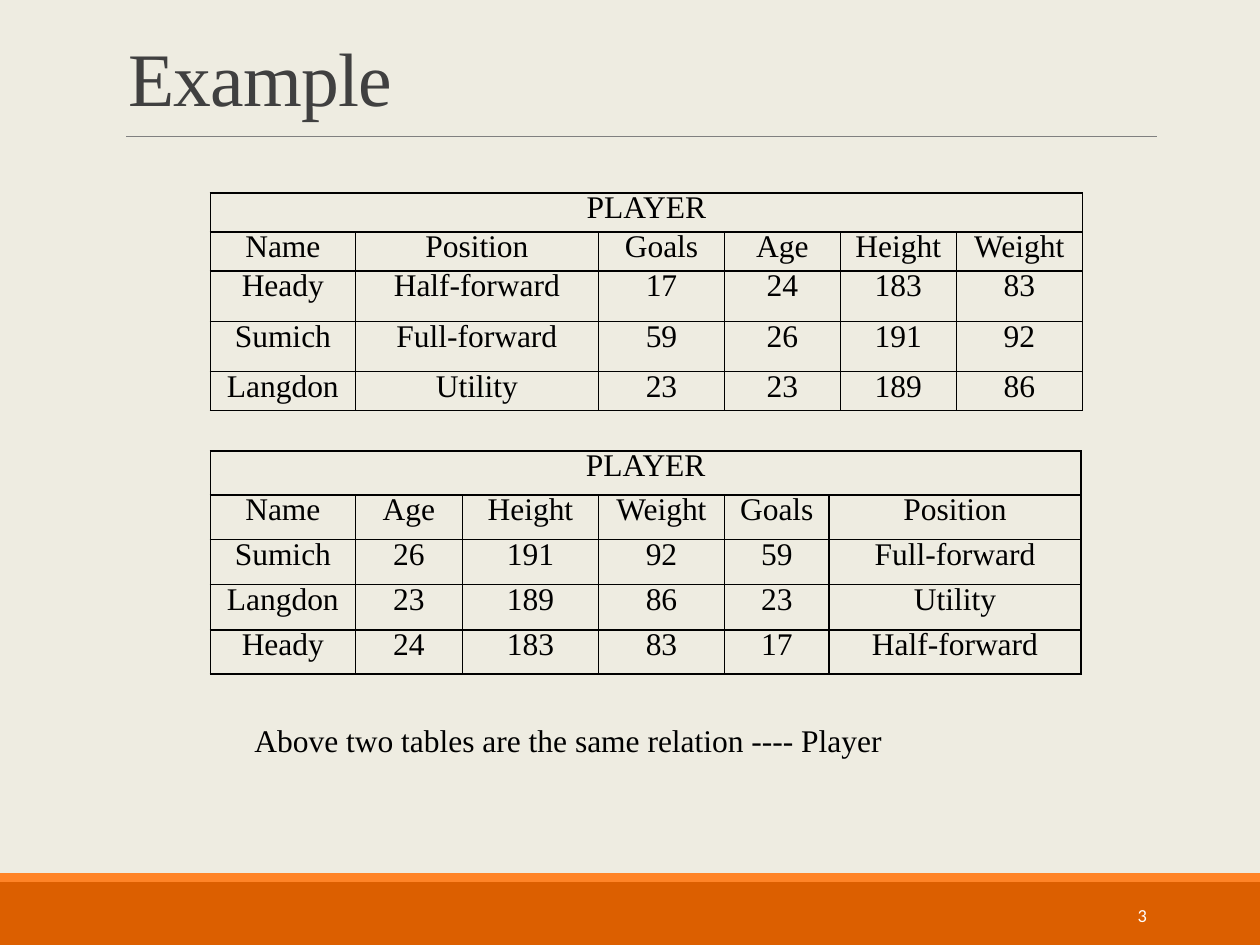
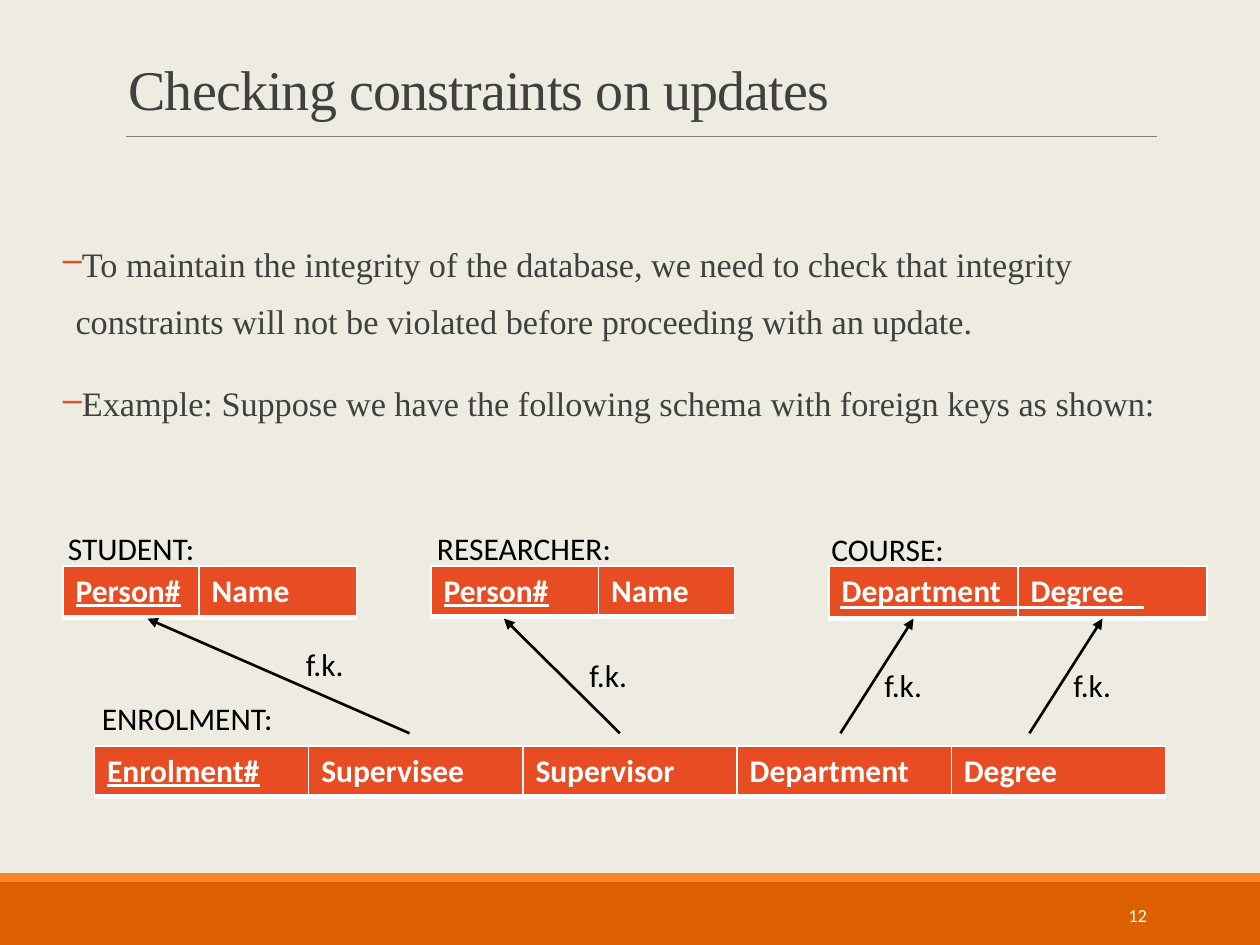
from lxml.etree import SubElement
from pptx import Presentation
from pptx.dml.color import RGBColor
from pptx.enum.shapes import MSO_CONNECTOR, MSO_SHAPE
from pptx.enum.text import MSO_ANCHOR, MSO_AUTO_SIZE, PP_ALIGN
from pptx.oxml.ns import qn
from pptx.util import Inches, Pt

COLORS = {
    "background": "EEECE1", "band": "DC5F00", "stripe": "FF8427",
    "rule": "808080", "text": "404040", "black": "000000",
    "white": "FFFFFF", "accent": "E84C22",
}
SERIF, SANS = "Times New Roman", "Calibri"


def rgb(name):
    return RGBColor.from_string(COLORS[name])


def apply(target, **values):
    for key, value in values.items():
        setattr(target, key, value)


class Deck:
    """Holds the style and the current slide."""

    def __init__(self):
        self.prs = Presentation()
        apply(self.prs, slide_width=Inches(10), slide_height=Inches(7.5))
        fill = self.prs.slide_master.background.fill
        fill.solid()
        fill.fore_color.rgb = rgb("background")

    def new_slide(self, title, size, number):
        self.s = self.prs.slides.add_slide(self.prs.slide_layouts[5])
        self.band(7, 0.5, "band")
        self.band(6.93, 0.07, "stripe")
        self.line((1, 1.08), (9.18, 1.08), "rule", 0.5)
        self.title(title, size)
        self.text(str(number), (8.12, 7.06, 1.08, 0.4), size=10.5, color="white",
                  align=PP_ALIGN.RIGHT, anchor=MSO_ANCHOR.MIDDLE)

    def band(self, top, height, color):
        sp = self.s.shapes.add_shape(MSO_SHAPE.RECTANGLE, 0, Inches(top),
                                     self.prs.slide_width, Inches(height))
        sp.shadow.inherit = False
        sp.fill.solid()
        sp.fill.fore_color.rgb = rgb(color)
        sp.line.fill.background()

    def run(self, p, text, size=18, font=SANS, color="black", **fmt):
        r = p.add_run()
        r.text = text
        apply(r.font, size=Pt(size), name=font, **fmt)
        r.font.color.rgb = rgb(color)
        return r

    def title(self, text, size):
        sp = self.s.shapes.title
        apply(sp, left=Inches(0.92), top=Inches(0.25),
              width=Inches(8.25), height=Inches(0.77))
        tf = sp.text_frame
        apply(tf, word_wrap=True, auto_size=MSO_AUTO_SIZE.NONE,
              vertical_anchor=MSO_ANCHOR.BOTTOM)
        p = tf.paragraphs[0]
        apply(p, alignment=PP_ALIGN.LEFT, line_spacing=0.85)
        r = self.run(p, text, size, SERIF, "text")
        r.font._element.set("spc", "-50")

    def text(self, text, box, wrap=True, align=PP_ALIGN.LEFT,
             anchor=MSO_ANCHOR.TOP, **fmt):
        tf = self.s.shapes.add_textbox(*map(Inches, box)).text_frame
        apply(tf, word_wrap=wrap, vertical_anchor=anchor)
        p = tf.paragraphs[0]
        p.alignment = align
        self.run(p, text, **fmt)

    def bullets(self, items, box):
        tf = self.s.shapes.add_textbox(*map(Inches, box)).text_frame
        apply(tf, word_wrap=True, margin_left=0, margin_right=0)
        for i, item in enumerate(items):
            p = tf.add_paragraph() if i else tf.paragraphs[0]
            apply(p, line_spacing=1.4, space_before=Pt(12), space_after=Pt(2))
            pPr = p._p.get_or_add_pPr()
            pPr.set("marL", str(Inches(0.1)))
            pPr.set("indent", str(-Inches(0.1)))
            color = SubElement(pPr, qn("a:buClr"))
            SubElement(color, qn("a:srgbClr"), val=COLORS["accent"])
            SubElement(pPr, qn("a:buChar"), char="–")
            self.run(p, item, 19.6, SERIF, "text")

    def line(self, start, end, color="black", width=1.5, arrow=False):
        c = self.s.shapes.add_connector(MSO_CONNECTOR.STRAIGHT,
                                        *map(Inches, start + end))
        c.line.color.rgb = rgb(color)
        c.line.width = Pt(width)
        if arrow:
            SubElement(c.line._get_or_add_ln(), qn("a:tailEnd"), type="triangle")
        SubElement(c._element.spPr, qn("a:effectLst"))

    def borders(self, cell, color, bottom):
        tcPr = cell._tc.get_or_add_tcPr()
        for side in "LRTB":
            width = bottom if side == "B" else 1
            ln = SubElement(tcPr, qn("a:ln" + side), w=str(Pt(width)))
            fill = SubElement(ln, qn("a:solidFill"))
            SubElement(fill, qn("a:srgbClr"), val=COLORS[color])

    def grid(self, left, top, cols, rows):
        """Adds a plain table with the given column widths and row heights."""
        box = map(Inches, (left, top, sum(cols), sum(rows)))
        table = self.s.shapes.add_table(len(rows), len(cols), *box).table
        apply(table, first_row=False, horz_banding=False)
        for col, width in zip(table.columns, cols):
            col.width = Inches(width)
        for row, height in zip(table.rows, rows):
            row.height = Inches(height)
        return table

    def relation(self, top, cols, rows, name, records):
        """Adds a ruled table whose name spans the first row."""
        table = self.grid(1.67, top, cols, rows)
        table.cell(0, 0).merge(table.cell(0, len(cols) - 1))
        heading = [name] + [""] * (len(cols) - 1)
        for i, record in enumerate([heading] + records):
            for j, value in enumerate(record):
                cell = table.cell(i, j)
                self.borders(cell, "black", 1)
                cell.fill.background()
                p = cell.text_frame.paragraphs[0]
                apply(p, alignment=PP_ALIGN.CENTER, line_spacing=Pt(15))
                if value:
                    self.run(p, value, font=SERIF)

    def schema(self, left, top, cols, height, fields, key=None):
        """Adds a one-row table of field names, with the key underlined."""
        table = self.grid(left, top, cols, [height])
        for j, field in enumerate(fields):
            cell = table.cell(0, j)
            self.borders(cell, "white", 3)
            cell.fill.solid()
            cell.fill.fore_color.rgb = rgb("accent")
            self.run(cell.text_frame.paragraphs[0], field, color="white",
                     bold=True, underline=field == key)


deck = Deck()

# Slide: one relation, two orders of rows and columns
deck.new_slide("Example", 43.2, 3)
players = [
    dict(Name="Heady", Position="Half-forward", Goals="17", Age="24", Height="183", Weight="83"),
    dict(Name="Sumich", Position="Full-forward", Goals="59", Age="26", Height="191", Weight="92"),
    dict(Name="Langdon", Position="Utility", Goals="23", Age="23", Height="189", Weight="86"),
]
views = [
    (1.53, dict(Name=1.15, Position=1.93, Goals=1, Age=0.92, Height=0.92, Weight=1),
     [0.31, 0.31, 0.4, 0.4, 0.31], players),
    (3.58, dict(Name=1.15, Age=0.85, Height=1.08, Weight=1, Goals=0.83, Position=2),
     [0.35, 0.35, 0.36, 0.36, 0.35], players[1:] + players[:1]),
]
for top, cols, rows, order in views:
    records = [list(cols)] + [[player[c] for c in cols] for player in order]
    deck.relation(top, list(cols.values()), rows, "PLAYER", records)
deck.text("Above two tables are the same relation ---- Player",
          (1.92, 5.67, 6.75, 0.4), font=SERIF)

# Slide: schema with foreign keys
deck.new_slide("Checking constraints on updates", 32, 12)
deck.bullets([
    "To maintain the integrity of the database, we need to check that integrity "
    "constraints will not be violated before proceeding with an update.",
    "Example: Suppose we have the following schema with foreign keys as shown:",
], (0.5, 1.75, 9, 5.42))

# Tables of the schema
deck.schema(3.42, 4.49, [1.33, 1.08], 0.4, ["Person#", "Name"], "Person#")
deck.schema(0.5, 4.49, [1.08, 1.25], 0.41, ["Person#", "Name"], "Person#")
deck.schema(6.58, 4.49, [1.5, 1.5], 0.42, ["Department", "Degree"])
deck.schema(0.75, 5.92, [1.7] * 5, 0.4,
            ["Enrolment#", "Supervisee", "Supervisor", "Department", "Degree"],
            "Enrolment#")
for name, left, top in [("STUDENT:", 0.44, 4.15), ("RESEARCHER:", 3.37, 4.15),
                        ("COURSE:", 6.5, 4.16), ("ENROLMENT:", 0.71, 5.5)]:
    deck.text(name, (left, top, 3, 0.4))

# Joint underline of the two-part course key
deck.line((6.67, 4.82), (9.08, 4.82), "white")

# Foreign keys: arrow start, arrow end, label position
for start, end, left, top in [(3.25, 1.17, 2.33, 5.07), (4.92, 4, 4.58, 5.16),
                              (6.67, 7.25, 6.92, 5.24), (8.17, 8.75, 8.42, 5.24)]:
    deck.line((start, 5.82), (end, 4.91), arrow=True)
    deck.text("f.k.", (left, top, 0.5, 0.4), wrap=False)

deck.prs.save("out.pptx")
